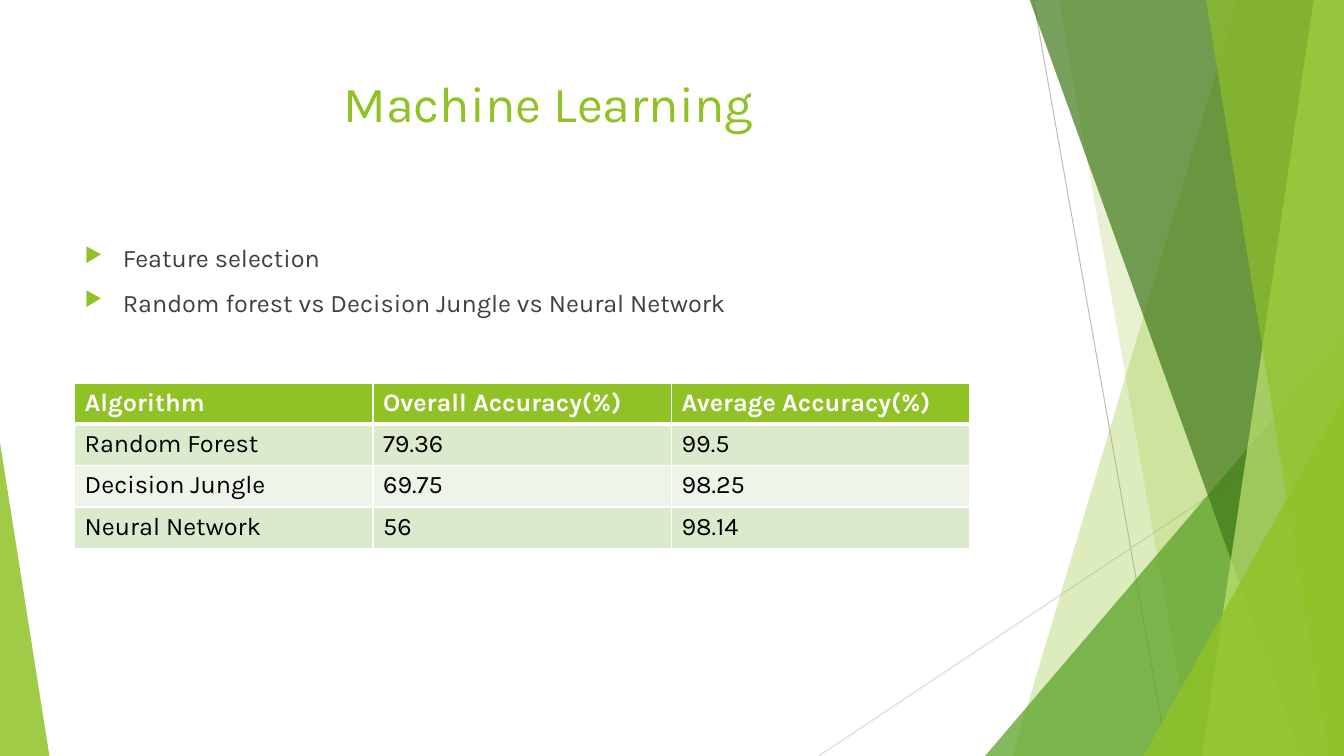
from lxml import etree
from pptx import Presentation
from pptx.dml.color import RGBColor
from pptx.enum.shapes import MSO_CONNECTOR, MSO_SHAPE
from pptx.enum.text import MSO_ANCHOR, PP_ALIGN
from pptx.oxml.ns import qn
from pptx.util import Inches, Pt

STRAIGHT, TRIANGLE = MSO_CONNECTOR.STRAIGHT, MSO_SHAPE.ISOSCELES_TRIANGLE
TOP, LEFT, CENTER = MSO_ANCHOR.TOP, PP_ALIGN.LEFT, PP_ALIGN.CENTER

FONT = "Karla"
GREEN, WHITE, BLACK, GREY = "90C226", "FFFFFF", "000000", "404040"
BANDS = ("DBE9CD", "EEF4E8")
W, H, BLEED = 13.33, 7.5, -0.01
MARGIN, TEXT_W = 0.74, 9.4

TITLE = "Machine Learning"
BULLETS = ["Feature selection", "Random forest vs Decision Jungle vs Neural Network"]
TABLE = [
    ("Algorithm", "Overall Accuracy(%)", "Average Accuracy(%)"),
    ("Random Forest", "79.36", "99.5"),
    ("Decision Jungle", "69.75", "98.25"),
    ("Neural Network", "56", "98.14"),
]
COL_W, ROW_H = 2.96, 0.41

# Lines: start, end, colour
LINES = [((10.25, 0), (11.58, H), "BFBFBF"), ((W, 4.03), (8.12, H), "D9D9D9")]
# Back to front. Panels run to the right edge: top x, bottom x, colour, opacity.
# Triangles: left, top, width, apex position, colour, opacity.
DECOR = [
    ("panel", 12.28, 10.04, GREEN, 30),
    ("panel", 10.5, 11.83, GREEN, 20),
    ("triangle", 9.77, 3.33, 3.56, 1, "54A021", 72),
    ("panel", 10.21, 12.91, "3F7819", 70),
    ("panel", 13.03, 11.92, "C0E474", 70),
    ("panel", 11.96, 13.18, GREEN, 65),
    ("triangle", 11.34, 3.93, 1.99, 1, GREEN, 80),
    ("triangle", 0, 4.39, 0.49, 0, GREEN, 85),
]


def rgb(color):
    """Turn a hex string into a colour."""
    return RGBColor.from_string(color)


def sub(parent, tag, **attrs):
    """Append a DrawingML element with attributes."""
    el = etree.SubElement(parent, qn("a:" + tag))
    for name, value in attrs.items():
        el.set(name, str(value))
    return el


def write(p, text, size=18, color=BLACK, bold=False, align=LEFT):
    """Put one formatted run in a paragraph."""
    p.alignment = align
    r = p.add_run()
    r.text = text
    r.font.name, r.font.size, r.font.bold = FONT, Pt(size), bold
    r.font.color.rgb = rgb(color)


def bullet(p):
    """Give a paragraph a green arrow bullet and a hanging indent."""
    p.space_before = Pt(10)
    pPr = p._p.get_or_add_pPr()
    pPr.set("marL", str(Inches(0.38)))
    pPr.set("indent", str(Inches(-0.38)))
    sub(sub(pPr, "buClr"), "srgbClr", val=GREEN)
    sub(pPr, "buSzPct", val=80000)
    sub(pPr, "buChar", char="\u25b6")


def paint(sp, color, opacity):
    """Fill a decoration with a translucent colour and no outline."""
    sp.shadow.inherit = False
    sp.line.fill.background()
    sp.fill.solid()
    sp.fill.fore_color.rgb = rgb(color)
    clr = sp._element.spPr.find(qn("a:solidFill")).find(qn("a:srgbClr"))
    sub(clr, "alpha", val=opacity * 1000)


def panel(s, top_x, bottom_x, color, opacity):
    """Draw a full-height panel with a slanted left side."""
    fb = s.shapes.build_freeform(Inches(top_x), Inches(BLEED))
    corners = [(W, BLEED), (W, H), (bottom_x, H)]
    fb.add_line_segments([(Inches(x), Inches(y)) for x, y in corners])
    paint(fb.convert_to_shape(), color, opacity)


def triangle(s, left, top, width, apex, color, opacity):
    """Draw a right triangle standing on the bottom edge."""
    sp = s.shapes.add_shape(TRIANGLE, Inches(left), Inches(top),
                            Inches(width), Inches(H - top))
    sp.adjustments[0] = apex
    paint(sp, color, opacity)


def line(s, start, end, color):
    """Draw a thin decorative line."""
    c = s.shapes.add_connector(STRAIGHT, *[Inches(v) for v in start + end])
    c.line.color.rgb = rgb(color)
    c.line.width = Pt(0.75)
    sub(c._element.spPr, "effectLst")


def style_cell(cell, fill, top, bottom):
    """Set white cell borders (points) and the fill."""
    tcPr = cell._tc.get_or_add_tcPr()
    for side, width in (("L", 1), ("R", 1), ("T", top), ("B", bottom)):
        ln = sub(tcPr, "ln" + side, w=Pt(width))
        sub(sub(ln, "solidFill"), "srgbClr", val=WHITE)
    cell.fill.solid()
    cell.fill.fore_color.rgb = rgb(fill)


def accuracy_table(s):
    """Build the accuracy table with a header and banded rows."""
    rows, cols = len(TABLE), len(TABLE[0])
    table = s.shapes.add_table(rows, cols, Inches(MARGIN), Inches(3.8),
                               Inches(COL_W * cols), Inches(ROW_H * rows)).table
    for col in table.columns:
        col.width = Inches(COL_W)
    for i, values in enumerate(TABLE):
        header = i == 0
        table.rows[i].height = Inches(ROW_H)
        for j, value in enumerate(values):
            cell = table.cell(i, j)
            style_cell(cell, GREEN if header else BANDS[(i - 1) % 2],
                       3 if i == 1 else 1, 3 if header else 1)
            write(cell.text_frame.paragraphs[0], value,
                  color=WHITE if header else BLACK, bold=header)


prs = Presentation()
prs.slide_width, prs.slide_height = Inches(W), Inches(H)
s = prs.slides.add_slide(prs.slide_layouts[5])

for start, end, color in LINES:
    line(s, start, end, color)
for kind, *args in DECOR:
    (panel if kind == "panel" else triangle)(s, *args)

title = s.shapes.title
title.left, title.top = Inches(MARGIN), Inches(0.67)
title.width, title.height = Inches(TEXT_W), Inches(1.44)
title.text_frame.vertical_anchor = TOP
write(title.text_frame.paragraphs[0], TITLE, size=36, color=GREEN, align=CENTER)

body = s.shapes.add_textbox(Inches(MARGIN), Inches(2.36), Inches(TEXT_W), Inches(4.24))
tf = body.text_frame
tf.word_wrap = True
for i, text in enumerate(BULLETS):
    p = tf.add_paragraph() if i else tf.paragraphs[0]
    write(p, text, color=GREY)
    bullet(p)

accuracy_table(s)
prs.save("out.pptx")
